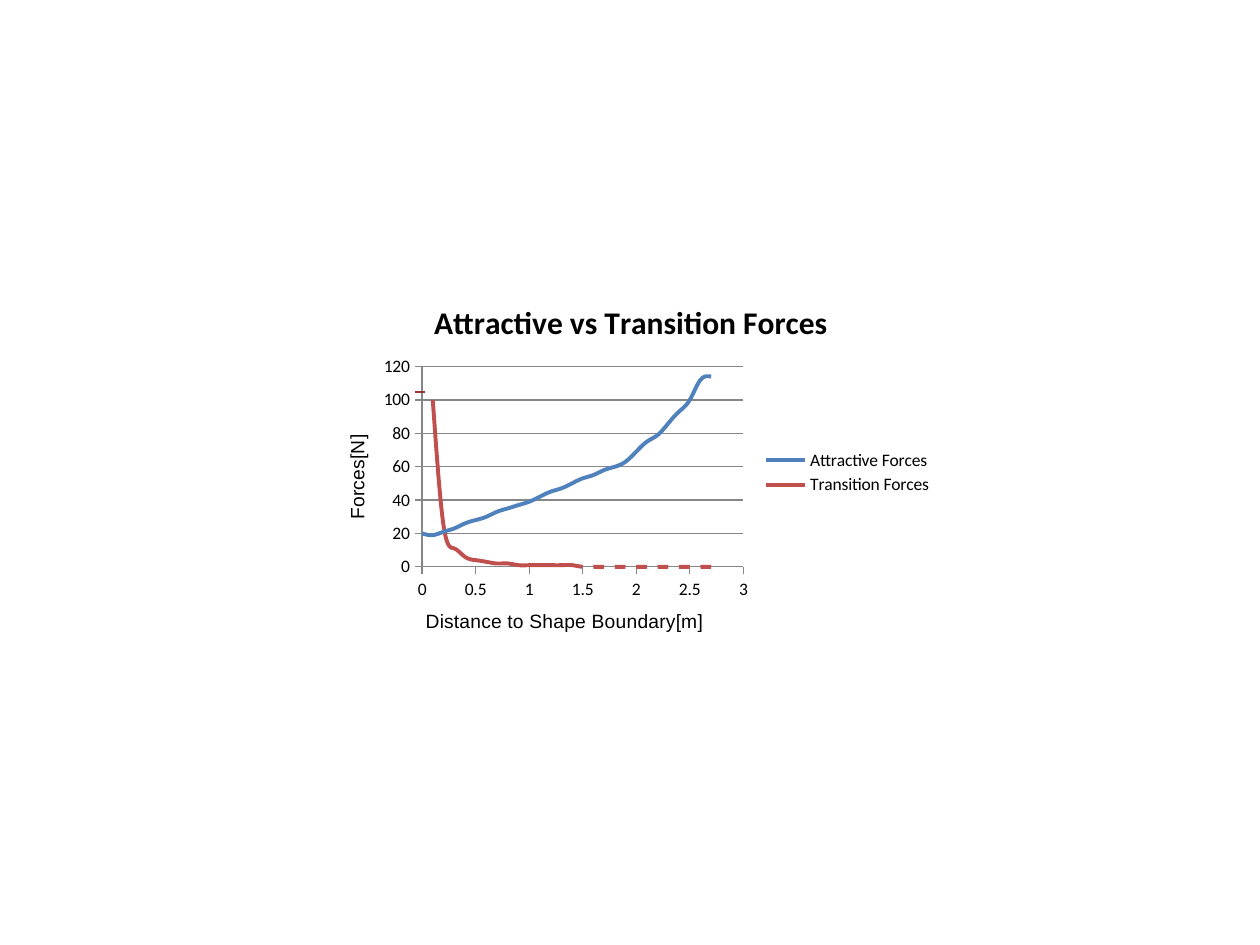
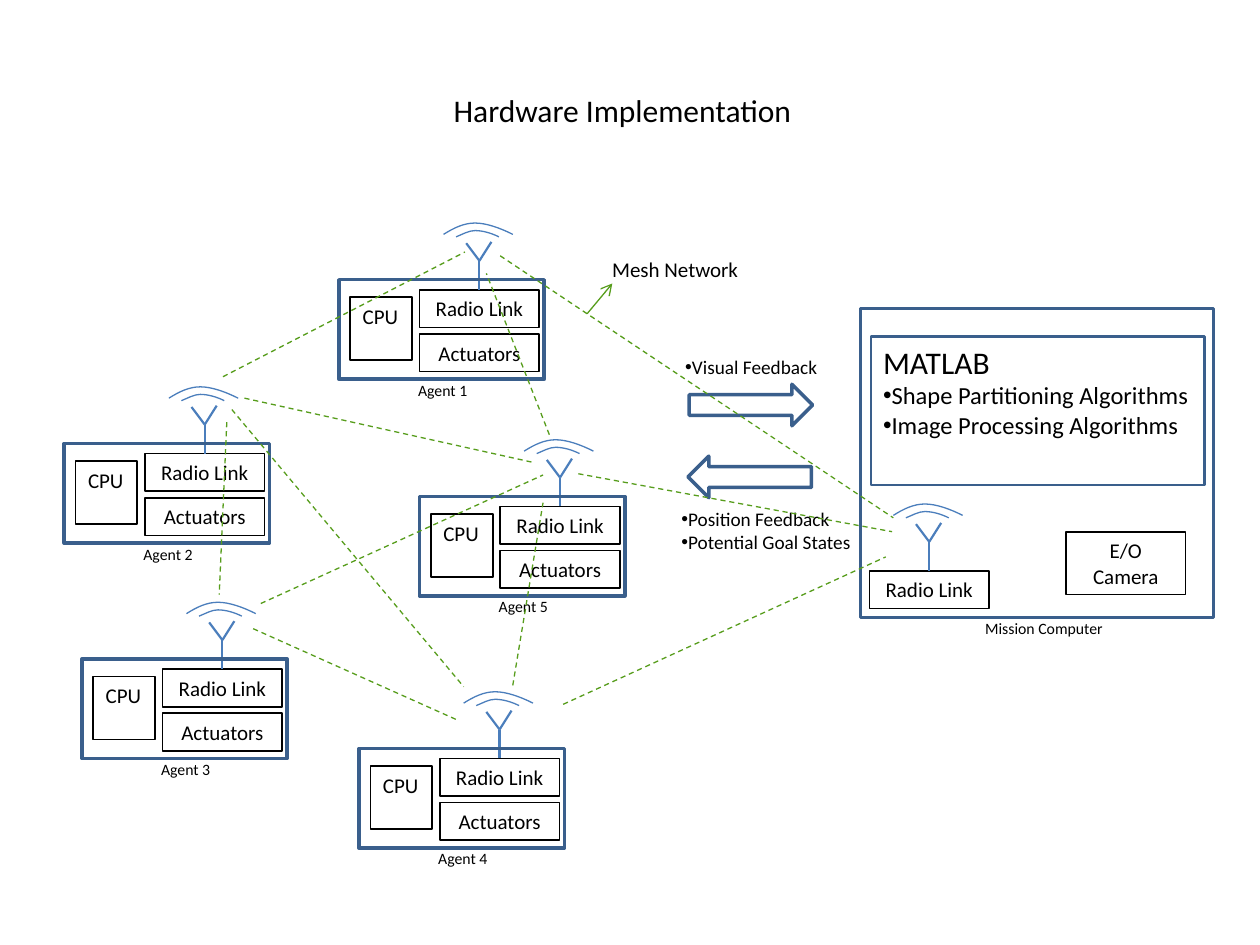
from dataclasses import dataclass
from typing import NamedTuple

from lxml import etree
from pptx import Presentation
from pptx import util as u
from pptx.chart.data import XyChartData
from pptx.dml.color import RGBColor
from pptx.enum import chart as ch, dml, shapes, text
from pptx.oxml import ns

WIDTH, HEIGHT = u.Inches(10), u.Inches(7.5)
COLUMNS, ROWS = 100, 75
BLACK, FRAME, ANTENNA, MESH = "000000", "3A5F8C", "4B7EBC", "579D1C"
ATTRACTIVE, TRANSITION, MARK, AXIS = "4F81BD", "C0504D", "953735", "878787"
FONT, AXIS_FONT = "Calibri", "Arial"
RECT, ARROW = shapes.MSO_SHAPE.RECTANGLE, shapes.MSO_SHAPE.RIGHT_ARROW


class Area(NamedTuple):
    column: float
    row: float
    columns: float
    rows: float


class Link(NamedTuple):
    start: tuple[float, float]
    end: tuple[float, float]


@dataclass(frozen=True)
class Line:
    words: str
    size: float = 12
    bullet: bool = False


@dataclass(frozen=True)
class Box:
    area: Area
    lines: tuple[Line, ...] = ()
    colour: str = BLACK
    weight: float = 1
    centred: bool = False
    wrap: bool = True
    kind: shapes.MSO_SHAPE = RECT
    turn: float = 0


@dataclass(frozen=True)
class Agent:
    name: str
    column: float
    row: float


AGENTS = (
    Agent("Agent 2", 5.1, 35.2),
    Agent("Agent 1", 26.9, 22.2),
    Agent("Agent 5", 33.3, 39.4),
    Agent("Agent 4", 28.5, 59.4),
    Agent("Agent 3", 6.5, 52.3),
)
MESH_LINKS = (
    Link((17.7, 29.9), (36.9, 20)),
    Link((19.4, 31.6), (42.3, 36.7)),
    Link((18, 33.5), (17.4, 47.2)),
    Link((18.4, 32.5), (36.8, 54.5)),
    Link((43.6, 34.5), (38.6, 21.7)),
    Link((20.1, 49.9), (36.2, 57.1)),
    Link((20.7, 47.9), (43.1, 37.7)),
    Link((40.7, 54.4), (43.1, 39.9)),
    Link((44.7, 55.9), (70.3, 44.2)),
    Link((45.9, 37.6), (70.8, 42.2)),
    Link((39.7, 20.3), (70.9, 41.1)),
)
ANTENNA_RODS = (
    Link((4.75, 0), (4.75, -2.3)),
    Link((4.75, -2.3), (3.7, -3.7)),
    Link((4.75, -2.3), (5.7, -3.8)),
)
RADIO_WAVES = (
    ((2.9, -4.2), (3.4, -4.4), (3.9, -4.7), (4.4, -4.7), (5, -4.7), (5.7, -4.5), (6.3, -4.2)),
    ((1.9, -4.4), (2.7, -4.9), (3.5, -5.3), (4.4, -5.3), (5.3, -5.3), (6.4, -4.9), (7.4, -4.4)),
)
MISSION_BOXES = (
    Box(Area(68.3, 24.5, 28, 24.5), colour=FRAME, weight=2),
    Box(Area(69.1, 26.7, 26.5, 11.8),
        (Line("MATLAB", 18), Line("Shape Partitioning Algorithms", 14, True),
         Line("Image Processing Algorithms", 14, True)), FRAME, 1.25, wrap=False),
    Box(Area(84.6, 42.2, 9.5, 5), (Line("E/O"), Line("Camera")), centred=True),
    Box(Area(54.7, 30.5, 9.8, 3.3), colour=FRAME, weight=2, kind=ARROW),
    Box(Area(54.6, 36.2, 9.8, 3.3), colour=FRAME, weight=2, kind=ARROW, turn=180),
)
CAPTIONS = (
    (Area(77.2, 48.6, 11.5, 2.5), (Line("Mission Computer", 9),)),
    (Area(53.4, 27.7, 12.6, 2.9), (Line("Visual Feedback", 11, True),)),
    (Area(53.1, 39.8, 15.6, 4.7),
     (Line("Position Feedback", 11, True), Line("Potential Goal States", 11, True))),
    (Area(47.6, 19.9, 12.1, 3), (Line("Mesh Network"),)),
)
ATTRACTIVE_FORCES = (20, 19, 21, 23, 26, 28, 30, 33, 35, 37, 39, 42, 45, 47,
                     50, 53, 55, 58, 60, 63, 69, 75, 79, 86, 93, 100, 112, 114)


def across(columns: float) -> int:
    return round(WIDTH * columns / COLUMNS)


def down(rows: float) -> int:
    return round(HEIGHT * rows / ROWS)


def place(area: Area) -> tuple[int, int, int, int]:
    return across(area.column), down(area.row), across(area.columns), down(area.rows)


def paint(target, colour: str) -> None:
    if hasattr(target, "solid"):
        target.solid()
        target = target.fore_color
    target.rgb = RGBColor.from_string(colour)


def style_font(font, size: float, name: str = FONT, bold: bool = False) -> None:
    font.size, font.name, font.bold = u.Pt(size), name, bold
    paint(font.color, BLACK)


def stroke(line, colour: str, weight: float) -> None:
    paint(line.fill, colour)
    line.width = u.Pt(weight)


def write(frame, lines: tuple[Line, ...], centred: bool = False, wrap: bool = False) -> None:
    frame.word_wrap = wrap
    frame.vertical_anchor = text.MSO_ANCHOR.TOP
    frame.text = "\n".join(line.words for line in lines)
    for line, paragraph in zip(lines, frame.paragraphs):
        paragraph.alignment = text.PP_ALIGN.CENTER if centred else text.PP_ALIGN.LEFT
        style_font(paragraph.runs[0].font, line.size)
        if line.bullet:
            properties = paragraph._p.get_or_add_pPr()
            etree.SubElement(properties, ns.qn("a:buFont"), typeface="Arial")
            etree.SubElement(properties, ns.qn("a:buChar"), char="•")


def draw_box(slide, box: Box) -> None:
    shape = slide.shapes.add_shape(box.kind, *place(box.area))
    shape.shadow.inherit = False
    shape.fill.background()
    shape.rotation = box.turn
    stroke(shape.line, box.colour, box.weight)
    if box.lines:
        write(shape.text_frame, box.lines, box.centred, box.wrap)


def draw_caption(slide, area: Area, lines: tuple[Line, ...]) -> None:
    write(slide.shapes.add_textbox(*place(area)).text_frame, lines)


def draw_link(slide, link: Link, colour: str, weight: float,
              dashed: bool = False, arrow: bool = False) -> None:
    (x1, y1), (x2, y2) = link
    connector = slide.shapes.add_connector(
        shapes.MSO_CONNECTOR.STRAIGHT, across(x1), down(y1), across(x2), down(y2))
    stroke(connector.line, colour, weight)
    if dashed:
        connector.line.dash_style = dml.MSO_LINE.DASH
    if arrow:
        etree.SubElement(connector.line._get_or_add_ln(), ns.qn("a:tailEnd"), type="arrow")
    etree.SubElement(connector._element.spPr, ns.qn("a:effectLst"))


def bend(outline) -> None:
    steps = list(outline.iter(ns.qn("a:lnTo")))
    track = steps[0].getparent()
    for first in range(0, len(steps), 3):
        curve = etree.SubElement(track, ns.qn("a:cubicBezTo"))
        for step in steps[first:first + 3]:
            curve.append(step[0])
            track.remove(step)


def draw_radio(slide, column: float, row: float) -> None:
    draw_box(slide, Box(Area(column, row, 9.5, 3), (Line("Radio Link"),), centred=True))
    for (x1, y1), (x2, y2) in ANTENNA_RODS:
        rod = Link((column + x1, row + y1), (column + x2, row + y2))
        draw_link(slide, rod, ANTENNA, 1.25)
    for wave in RADIO_WAVES:
        points = [(across(column + x), down(row + y)) for x, y in wave]
        builder = slide.shapes.build_freeform(*points[0])
        builder.add_line_segments(points[1:], close=False)
        arc = builder.convert_to_shape()
        bend(arc._element)
        arc.shadow.inherit = False
        arc.fill.background()
        stroke(arc.line, ANTENNA, 0.75)


def draw_agent(slide, agent: Agent) -> None:
    column, row = agent.column, agent.row
    draw_radio(slide, column + 6.4, row + 0.8)
    draw_box(slide, Box(Area(column + 0.9, row + 1.4, 4.9, 5), (Line("CPU"),), wrap=False))
    draw_box(slide, Box(Area(column + 6.4, row + 4.3, 9.5, 3), (Line("Actuators"),), centred=True))
    draw_box(slide, Box(Area(column, row, 16.3, 7.9), colour=FRAME, weight=2))
    draw_caption(slide, Area(column + 5.3, row + 7.5, 6, 2.5), (Line(agent.name, 9),))


def set_layout(parent, **shares: float) -> None:
    layout = parent.find(ns.qn("c:layout"))
    if layout is None:
        layout = etree.Element(ns.qn("c:layout"))
        parent.insert(0 if parent.find(ns.qn("c:tx")) is None else 1, layout)
    manual = etree.SubElement(layout, ns.qn("c:manualLayout"))
    if "w" in shares:
        etree.SubElement(manual, ns.qn("c:layoutTarget"), val="inner")
    for side in ("x", "y"):
        etree.SubElement(manual, ns.qn(f"c:{side}Mode"), val="edge")
    for side, share in shares.items():
        etree.SubElement(manual, ns.qn(f"c:{side}"), val=str(share))


def style_axis(axis, title: str, top: float, step: float, grid: bool) -> None:
    axis.minimum_scale, axis.maximum_scale, axis.major_unit = 0, top, step
    axis.has_major_gridlines = grid
    axis.major_tick_mark = ch.XL_TICK_MARK.OUTSIDE
    axis.minor_tick_mark = ch.XL_TICK_MARK.NONE
    stroke(axis.format.line, AXIS, 0.75)
    if grid:
        stroke(axis.major_gridlines.format.line, AXIS, 0.75)
    frame = axis.axis_title.text_frame
    frame.text = title
    style_font(frame.paragraphs[0].runs[0].font, 11, AXIS_FONT)


def build_forces(slide) -> None:
    data = XyChartData()
    attractive = data.add_series("Attractive Forces")
    transition = data.add_series("Transition Forces")
    for tenth, force in enumerate(ATTRACTIVE_FORCES):
        distance = tenth / 10
        attractive.add_data_point(distance, force)
        if tenth:
            transition.add_data_point(distance, round(1 / distance ** 2))
    chart = slide.shapes.add_chart(ch.XL_CHART_TYPE.XY_SCATTER_SMOOTH_NO_MARKERS,
                                   *place(Area(25, 22.5, 50, 30)), data).chart
    style_font(chart.font, 10)
    chart.has_title = True
    chart.chart_title.text_frame.text = "Attractive vs Transition Forces"
    style_font(chart.chart_title.text_frame.paragraphs[0].runs[0].font, 18, bold=True)
    chart.has_legend = True
    chart.legend.position = ch.XL_LEGEND_POSITION.RIGHT
    chart.legend.include_in_layout = False
    style_axis(chart.category_axis, "Distance to Shape Boundary[m]", 3, 0.5, False)
    style_axis(chart.value_axis, "Forces[N]", 120, 20, True)
    set_layout(chart._chartSpace.find(".//" + ns.qn("c:plotArea")), x=0.17, y=0.22, w=0.51, h=0.53)
    set_layout(chart.chart_title._element, x=0.18, y=0.03)
    set_layout(chart.category_axis.axis_title._element, x=0.17, y=0.85)
    set_layout(chart.value_axis.axis_title._element, x=0.04, y=0.39)
    chart.plots[0].vary_by_categories = False
    for series, colour in zip(chart.plots[0].series, (ATTRACTIVE, TRANSITION)):
        series._element.get_or_add_smooth().val = True
        stroke(series.format.line, colour, 2.25)
    draw_link(slide, Link((32.9, 31.1), (33.7, 31.1)), MARK, 1.5)


def build_hardware(slide) -> None:
    title = slide.shapes.title
    title.left, title.top, title.width, title.height = place(Area(35, 6.7, 29.1, 4))
    write(title.text_frame, (Line("Hardware Implementation", 18),))
    for agent in AGENTS:
        draw_agent(slide, agent)
    for box in MISSION_BOXES:
        draw_box(slide, box)
    draw_radio(slide, 69, 45.3)
    for area, lines in CAPTIONS:
        draw_caption(slide, area, lines)
    for link in MESH_LINKS:
        draw_link(slide, link, MESH, 0.75, dashed=True)
    draw_link(slide, Link((46.6, 24.9), (48.6, 22.5)), MESH, 0.75, arrow=True)


def main() -> None:
    deck = Presentation()
    deck.slide_width, deck.slide_height = WIDTH, HEIGHT
    title_only, blank = deck.slide_layouts[5], deck.slide_layouts[6]
    build_forces(deck.slides.add_slide(blank))
    build_hardware(deck.slides.add_slide(title_only))
    deck.save("out.pptx")


if __name__ == "__main__":
    main()
